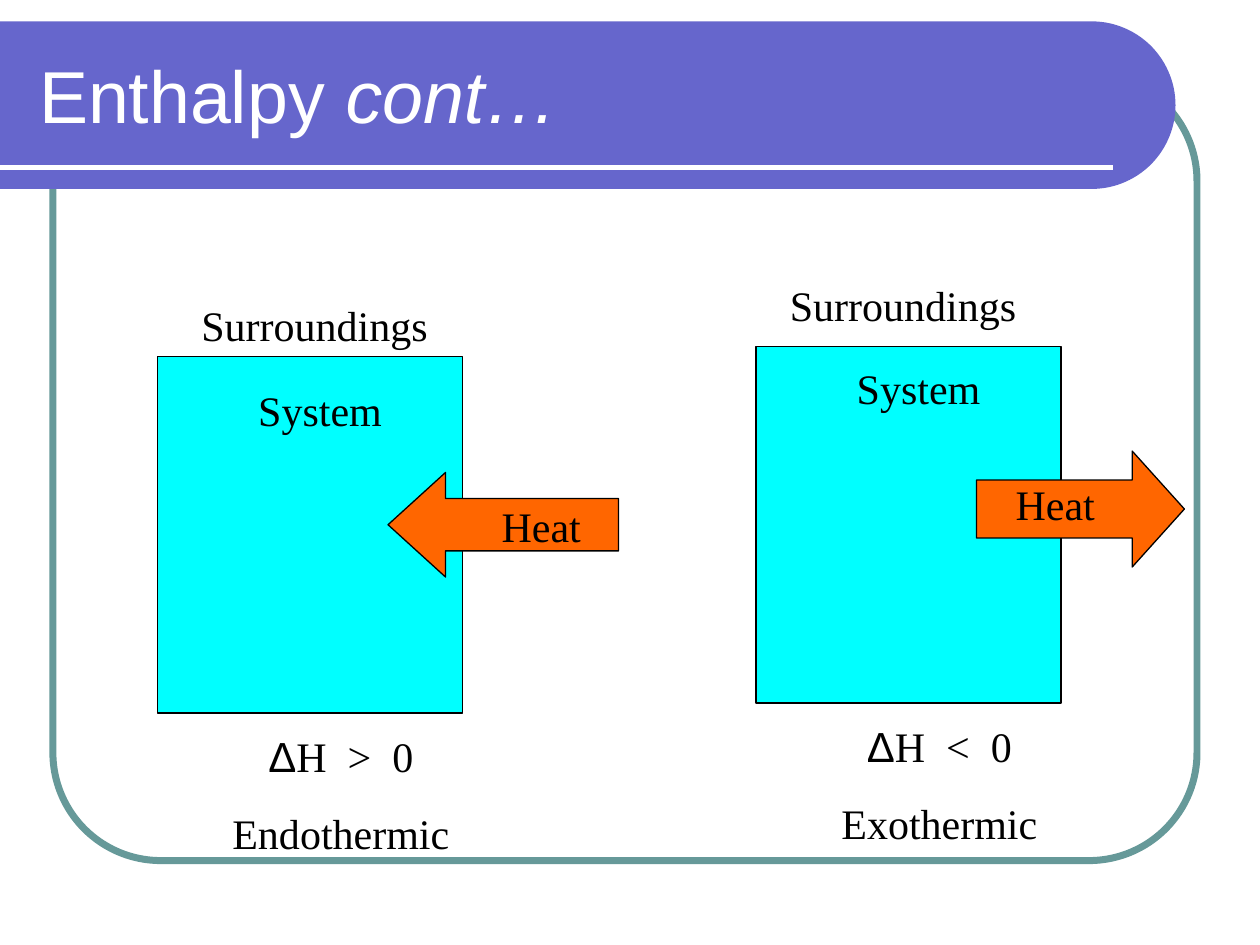
import math
from pptx import Presentation
from pptx.dml.color import RGBColor
from pptx.enum import shapes, text
from pptx.oxml import parse_xml
from pptx.oxml.ns import nsdecls
from pptx.util import Inches, Pt

SERIF, SANS = "Times New Roman", "Arial"
BLACK, WHITE = "000000", "FFFFFF"
CENTER, LEFT = text.PP_ALIGN.CENTER, text.PP_ALIGN.LEFT
KIND = shapes.MSO_SHAPE


def color(value):
    return RGBColor.from_string(value)


def paint(shape, fill=None, line=None, weight=0.75):
    shape.shadow.inherit = False
    if fill:
        shape.fill.solid()
        shape.fill.fore_color.rgb = color(fill)
    else:
        shape.fill.background()
    if line:
        shape.line.color.rgb = color(line)
        shape.line.width = Pt(weight)
    else:
        shape.line.fill.background()


def add_shape(page, kind, left, top, width, height, **style):
    shape = page.shapes.add_shape(
        kind, Inches(left), Inches(top), Inches(width), Inches(height))
    paint(shape, **style)
    return shape


def add_label(page, left, top, width, height, paragraphs, align=CENTER):
    """Add a text box; each paragraph is a list of (wording, font) spans."""
    box = page.shapes.add_textbox(
        Inches(left), Inches(top), Inches(width), Inches(height))
    frame = box.text_frame
    frame.word_wrap = True
    for index, spans in enumerate(paragraphs):
        para = frame.add_paragraph() if index else frame.paragraphs[0]
        para.alignment = align
        if index:
            para.space_before = Pt(15)
        para.font.size = Pt(24)
        para.font.name = SERIF
        para.font.color.rgb = color(BLACK)
        for wording, font in spans:
            span = para.add_run()
            span.text = wording
            if font != SERIF:
                span.font.name = font


def add_frame(page, left, top, width, height):
    frame = add_shape(page, KIND.ROUNDED_RECTANGLE, left, top, width, height,
                      line="669999", weight=4)
    frame.adjustments[0] = 0.137


def add_title_band(page, left, top, width, height):
    """Draw the band with its round right end, the rule and the title."""
    radius = height / 2
    center_x, center_y = left + width - radius, top + radius
    angles = [math.radians(degree) for degree in range(-90, 91, 3)]
    end = [(Inches(center_x + radius * math.cos(angle)),
            Inches(center_y + radius * math.sin(angle))) for angle in angles]
    builder = page.shapes.build_freeform(Inches(left), Inches(top))
    builder.add_line_segments(end + [(Inches(left), Inches(top + height))])
    paint(builder.convert_to_shape(), fill="6666CC")

    rule_y = Inches(top + 1.16)
    rule = page.shapes.add_connector(
        shapes.MSO_CONNECTOR.STRAIGHT, Inches(left), rule_y,
        Inches(left + width - 0.5), rule_y)
    rule.line.color.rgb = color(WHITE)
    rule.line.width = Pt(3)
    rule._element.spPr.append(parse_xml(f"<a:effectLst {nsdecls('a')}/>"))

    title = page.shapes.title
    page.shapes._spTree.append(title._element)  # in front of the band
    title.left, title.top = Inches(left + 0.21), Inches(top + 0.08)
    title.width, title.height = Inches(8.77), Inches(1)
    frame = title.text_frame
    frame.auto_size = text.MSO_AUTO_SIZE.NONE
    frame.vertical_anchor = text.MSO_ANCHOR.MIDDLE
    para = frame.paragraphs[0]
    para.alignment = LEFT
    para.font.size = Pt(42)
    para.font.name = SANS
    para.font.color.rgb = color(WHITE)
    para.add_run().text = "Enthalpy "
    span = para.add_run()
    span.text = "cont…"
    span.font.italic = True


def add_process(page, left, top, surroundings, system, arrow, heat, sign, name):
    """Draw one system; part positions are offsets from its top left corner."""
    def at(offset):
        return left + offset[0], top + offset[1]

    add_shape(page, KIND.RECTANGLE, left, top, 2.42, 2.83,
              fill="00FFFF", line=BLACK)
    add_label(page, *at(surroundings), 2.33, 0.5,
              [[("Surroundings", SERIF)]], LEFT)
    kind, offset, size, head = arrow
    shape = add_shape(page, kind, *at(offset), *size,
                      fill="FF6600", line=BLACK)
    shape.adjustments[0], shape.adjustments[1] = 0.5, head
    add_label(page, *at(heat), 1.25, 0.5, [[("Heat", SERIF)]])
    add_label(page, *at(system), 1.58, 0.5, [[("System", SERIF)]])
    add_label(page, *at((-0.42, 2.92)), 3.75, 1.11,
              [[("Δ", SANS), (f"H  {sign}  0", SERIF)], [(name, SERIF)]])


def main():
    deck = Presentation()
    deck.slide_width, deck.slide_height = Inches(10), Inches(7.5)
    page = deck.slides.add_slide(deck.slide_layouts[5])
    add_frame(page, 0.42, 0.58, 9.08, 6.25)
    add_title_band(page, 0, 0.17, 9.33, 1.33)
    add_process(page, 1.25, 2.83, surroundings=(0.25, -0.5), system=(0.5, 0.17),
                arrow=(KIND.LEFT_ARROW, (1.83, 0.92), (1.83, 0.83), 0.55),
                heat=(2.42, 1.09), sign=">", name="Endothermic")
    add_process(page, 6, 2.75, surroundings=(0.17, -0.58), system=(0.5, 0.08),
                arrow=(KIND.RIGHT_ARROW, (1.75, 0.83), (1.65, 0.92), 0.45),
                heat=(1.75, 1), sign="<", name="Exothermic")
    deck.save("out.pptx")


if __name__ == "__main__":
    main()
